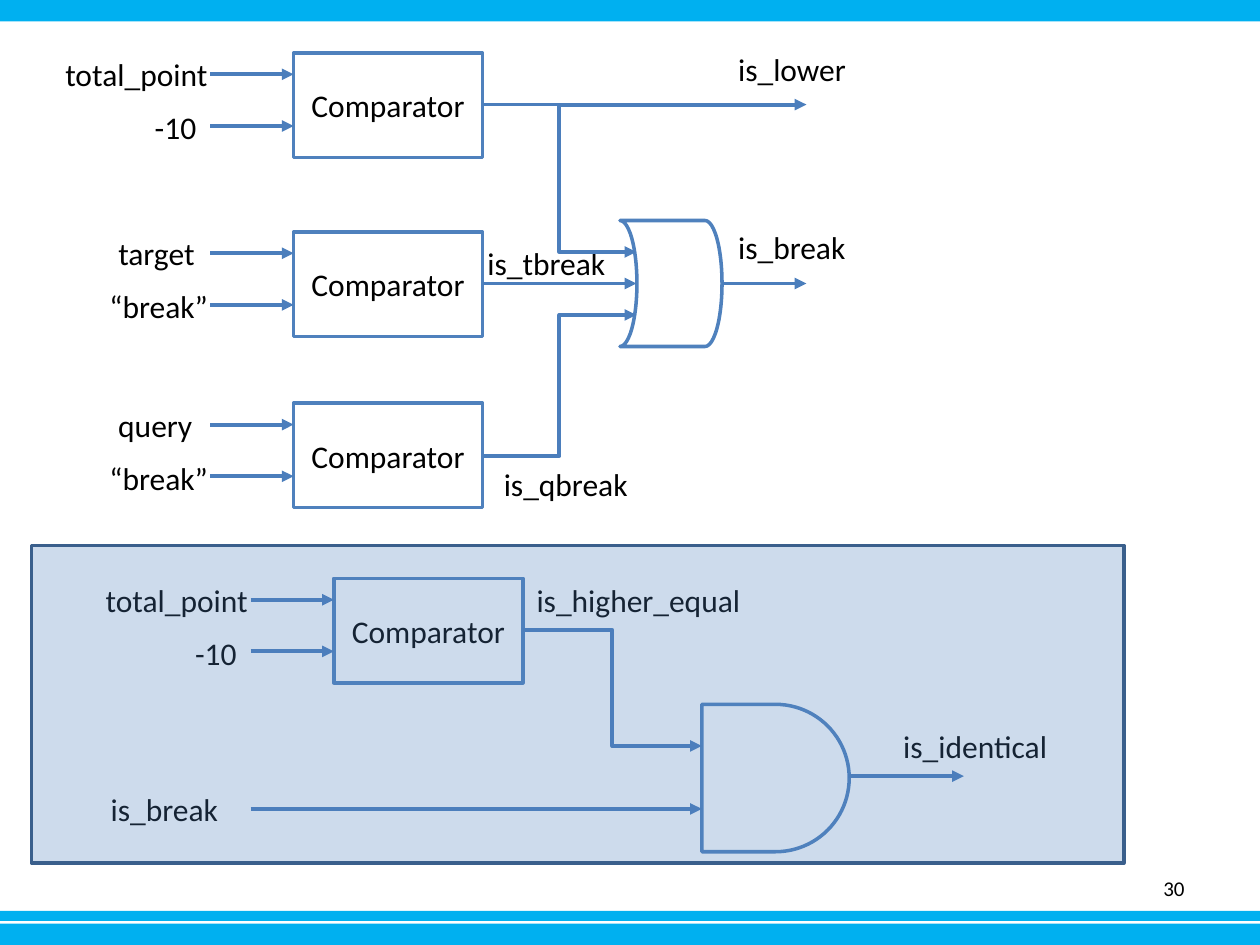
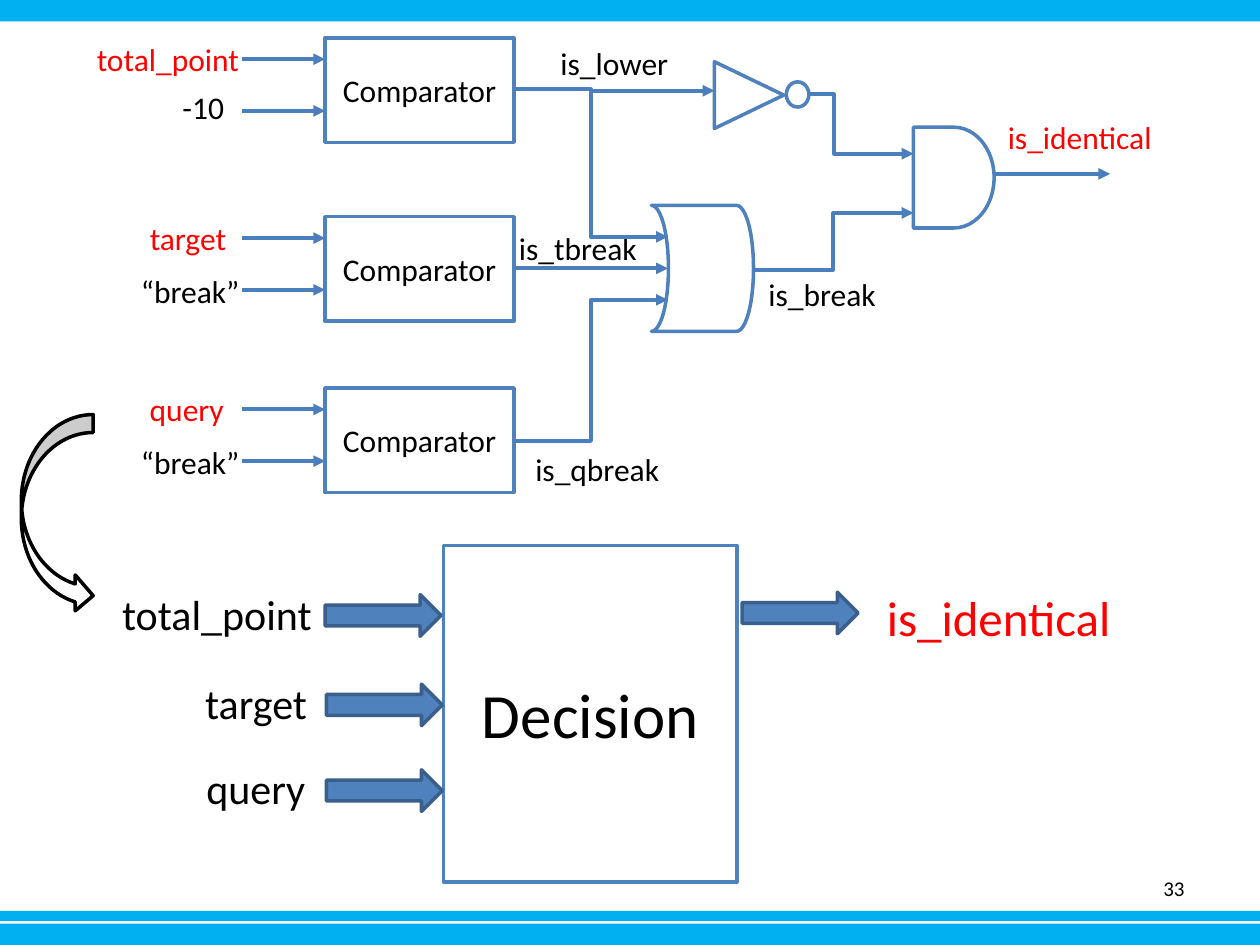
from lxml.etree import SubElement
from pptx import Presentation
from pptx.dml.color import RGBColor
from pptx.enum.shapes import MSO_CONNECTOR as Wire, MSO_SHAPE as Shape
from pptx.enum.text import MSO_ANCHOR as Anchor, MSO_AUTO_SIZE as AutoSize, PP_ALIGN as Align
from pptx.oxml.ns import qn
from pptx.util import Inches, Pt

# Shared look
FONT = "Calibri"
BLACK, WHITE, RED = "000000", "FFFFFF", "FF0000"
BAND, BLUE, DARK_BLUE, WIRE = "00B0F0", "4F81BD", "3A5F8C", "4B7EBC"
BANDS = [(7.33, 0.17), (7.23, 0.08), (0, 0.17)]  # top, height

# Shared circuit measures
COMPARATOR_W, COMPARATOR_H = 1.5, 0.83
INPUT_WIRE = 0.66
INPUT_LEFT = {"total_point": 1.91, "-10": 1.2, "target": 1.49,
              "query": 1.49, "“break”": 1.56}  # distance left of comparator
LABEL_WIDTH = {"total_point": 1.34, "-10": 0.54, "target": 0.81, "query": 0.8,
               "“break”": 0.99, "is_lower": 1.07, "is_tbreak": 1.15,
               "is_qbreak": 1.2, "is_break": 1.06}


def rgb(hex_color):
    return RGBColor.from_string(hex_color)


def apply(target, values):
    for name, value in values.items():
        setattr(target, name, value)


def write(frame, text, size, color=BLACK, align=Align.LEFT, **frame_format):
    apply(frame, frame_format)
    paragraph = frame.paragraphs[0]
    paragraph.alignment = align
    run = paragraph.add_run()
    run.text = text
    apply(run.font, {"name": FONT, "size": Pt(size)})
    run.font.color.rgb = rgb(color)


def block(shapes, kind, left, top, width, height, fill=WHITE, line=BLUE,
          text=None, size=18, rotation=0):
    part = shapes.add_shape(kind, *map(Inches, (left, top, width, height)))
    part.shadow.inherit = False
    part.rotation = rotation
    part.fill.solid()
    part.fill.fore_color.rgb = rgb(fill)
    if line:
        part.line.color.rgb = rgb(line)
        part.line.width = Pt(2)
    else:
        part.line.fill.background()
    if text:
        write(part.text_frame, text, size, align=Align.CENTER,
              vertical_anchor=Anchor.MIDDLE, word_wrap=True)
    return part


def label(shapes, text, left, top, width=None, size=18, color=BLACK, wrap=False):
    width = width or LABEL_WIDTH[text]
    height = size * 1.2 / 72 + 0.1
    box = shapes.add_textbox(*map(Inches, (left, top, width, height)))
    write(box.text_frame, text, size, color, word_wrap=wrap,
          auto_size=AutoSize.SHAPE_TO_FIT_TEXT)


def wire(shapes, start, end, bend=None):
    """Arrow from start to end; bend is the share of the width before the turn."""
    kind = Wire.ELBOW if bend else Wire.STRAIGHT
    line = shapes.add_connector(kind, *map(Inches, (*start, *end)))
    line.line.color.rgb = rgb(WIRE)
    line.line.width = Pt(2.25)
    properties = line.element.spPr
    SubElement(properties.find(qn("a:ln")), qn("a:tailEnd"), type="triangle")
    SubElement(properties, qn("a:effectLst"))
    if bend:
        geometry = properties.find(qn("a:prstGeom"))
        guides = geometry.find(qn("a:avLst"))
        if guides is None:
            guides = SubElement(geometry, qn("a:avLst"))
        SubElement(guides, qn("a:gd"), name="adj1", fmla=f"val {round(bend * 100000)}")


def comparator(shapes, left, top, upper, lower, upper_color=BLACK, nudge=(0, 0)):
    """Comparator with two labelled inputs; nudge moves the lower label."""
    block(shapes, Shape.RECTANGLE, left, top, COMPARATOR_W, COMPARATOR_H,
          text="Comparator")
    for drop in (0.17, 0.58):
        wire(shapes, (left - INPUT_WIRE, top + drop), (left, top + drop))
    label(shapes, upper, left - INPUT_LEFT[upper], top - 0.03, color=upper_color)
    label(shapes, lower, left - INPUT_LEFT[lower] + nudge[0], top + 0.39 + nudge[1])


def break_circuit(shapes, left, top, input_color=BLACK, ten_nudge=(0, 0)):
    """Three comparators joined by an OR gate."""
    rows = [("total_point", "-10", 0, ten_nudge),
            ("target", "“break”", 1.42, (0, 0)),
            ("query", "“break”", 2.78, (0, 0))]
    for upper, lower, drop, nudge in rows:
        comparator(shapes, left, top + drop, upper, lower, input_color, nudge)
    label(shapes, "is_tbreak", left + 1.44, top + 1.47)
    label(shapes, "is_qbreak", left + 1.57, top + 3.22)
    block(shapes, Shape.FLOWCHART_STORED_DATA, left + 2.59, top + 1.33, 0.81, 1,
          rotation=180)
    for out, gate_in, bend in [(0.41, 1.58, 0.5), (1.83, 1.83, None), (3.2, 2.08, 0.5)]:
        wire(shapes, (left + COMPARATOR_W, top + out), (left + 2.72, top + gate_in), bend)


def add_bands(layout, shapes):
    """Draw the bands once and keep them behind everything on the layout."""
    for index, (top, height) in enumerate(BANDS):
        band = block(shapes, Shape.RECTANGLE, 0, top, 10, height, BAND, None).element
        band.nvSpPr.cNvPr.set("id", str(20 + index))
        layout.shapes.element.insert(2 + index, band)


def page_number(shapes, number):
    box = shapes.add_textbox(*map(Inches, (7.17, 6.85, 2.33, 0.4)))
    write(box.text_frame, str(number), 12, align=Align.RIGHT,
          vertical_anchor=Anchor.MIDDLE, word_wrap=True)


def build_gates(shapes):
    page_number(shapes, 30)
    break_circuit(shapes, 2.33, 0.42)
    label(shapes, "is_lower", 5.76, 0.35)
    label(shapes, "is_break", 5.76, 1.76)
    wire(shapes, (5.73, 2.25), (6.4, 2.25))
    wire(shapes, (4.43, 0.83), (6.4, 0.83))

    # AND stage under a translucent panel
    comparator(shapes, 2.65, 4.59, "total_point", "-10")
    label(shapes, "is_higher_equal", 4.16, 4.56, 1.95, wrap=True)
    block(shapes, Shape.FLOWCHART_DELAY, 5.57, 5.59, 1.17, 1.17)
    wire(shapes, (1.99, 6.42), (5.57, 6.42))
    wire(shapes, (4.15, 5), (5.57, 5.92), 0.5)
    label(shapes, "is_break", 0.78, 6.22, 1.34, wrap=True)
    wire(shapes, (6.73, 6.16), (7.65, 6.16))
    label(shapes, "is_identical", 7.07, 5.72, 1.95, wrap=True)
    panel = block(shapes, Shape.RECTANGLE, 0.25, 4.33, 8.67, 2.52, BLUE, DARK_BLUE)
    tint = panel.element.spPr.find(qn("a:solidFill"))[0]
    SubElement(tint, qn("a:alpha"), val="28000")


def build_decision(shapes):
    page_number(shapes, 33)
    break_circuit(shapes, 2.58, 0.3, RED, ten_nudge=(-0.03, -0.04))
    label(shapes, "is_lower", 4.35, 0.3)
    label(shapes, "is_break", 6, 2.13)
    wire(shapes, (4.68, 0.72), (5.67, 0.72))

    # Inverter and AND gate
    inverter = shapes.add_group_shape().shapes
    block(inverter, Shape.ISOSCELES_TRIANGLE, 5.68, 0.48, 0.53, 0.55, rotation=90)
    block(inverter, Shape.FLOWCHART_CONNECTOR, 6.24, 0.65, 0.18, 0.2)
    block(shapes, Shape.FLOWCHART_DELAY, 7.25, 1.01, 0.64, 0.8)
    wire(shapes, (5.98, 2.14), (7.25, 1.69), 0.5)
    wire(shapes, (6.42, 0.75), (7.25, 1.22), 0.24)
    wire(shapes, (7.89, 1.38), (8.81, 1.38))
    label(shapes, "is_identical", 7.9, 0.89, 1.95, color=RED, wrap=True)

    # Decision block that sums up the circuit
    block(shapes, Shape.RECTANGLE, 3.52, 4.33, 2.33, 2.67, text="Decision", size=36)
    for left, top in [(5.89, 4.7), (2.58, 4.72), (2.59, 5.43), (2.59, 6.11)]:
        block(shapes, Shape.RIGHT_ARROW, left, top, 0.92, 0.33, BLUE, DARK_BLUE)
    for name, left, top, width in [("total_point", 0.87, 4.62, 1.72),
                                   ("target", 1.53, 5.33, 1.02),
                                   ("query", 1.54, 6, 1)]:
        label(shapes, name, left, top, width, size=24)
    label(shapes, "is_identical", 6.94, 4.61, 2.2, size=28, color=RED, wrap=True)
    turn = block(shapes, Shape.CURVED_LEFT_ARROW, 0.17, 3.29, 0.57, 1.58, line=BLACK)
    turn.element.spPr.find(qn("a:xfrm")).set("flipH", "1")


def main():
    deck = Presentation()
    deck.slide_width, deck.slide_height = Inches(10), Inches(7.5)
    blank = deck.slide_layouts[6]
    gates, decision = (deck.slides.add_slide(blank) for _ in range(2))
    add_bands(blank, gates.shapes)
    build_gates(gates.shapes)
    build_decision(decision.shapes)
    deck.save("out.pptx")


if __name__ == "__main__":
    main()
